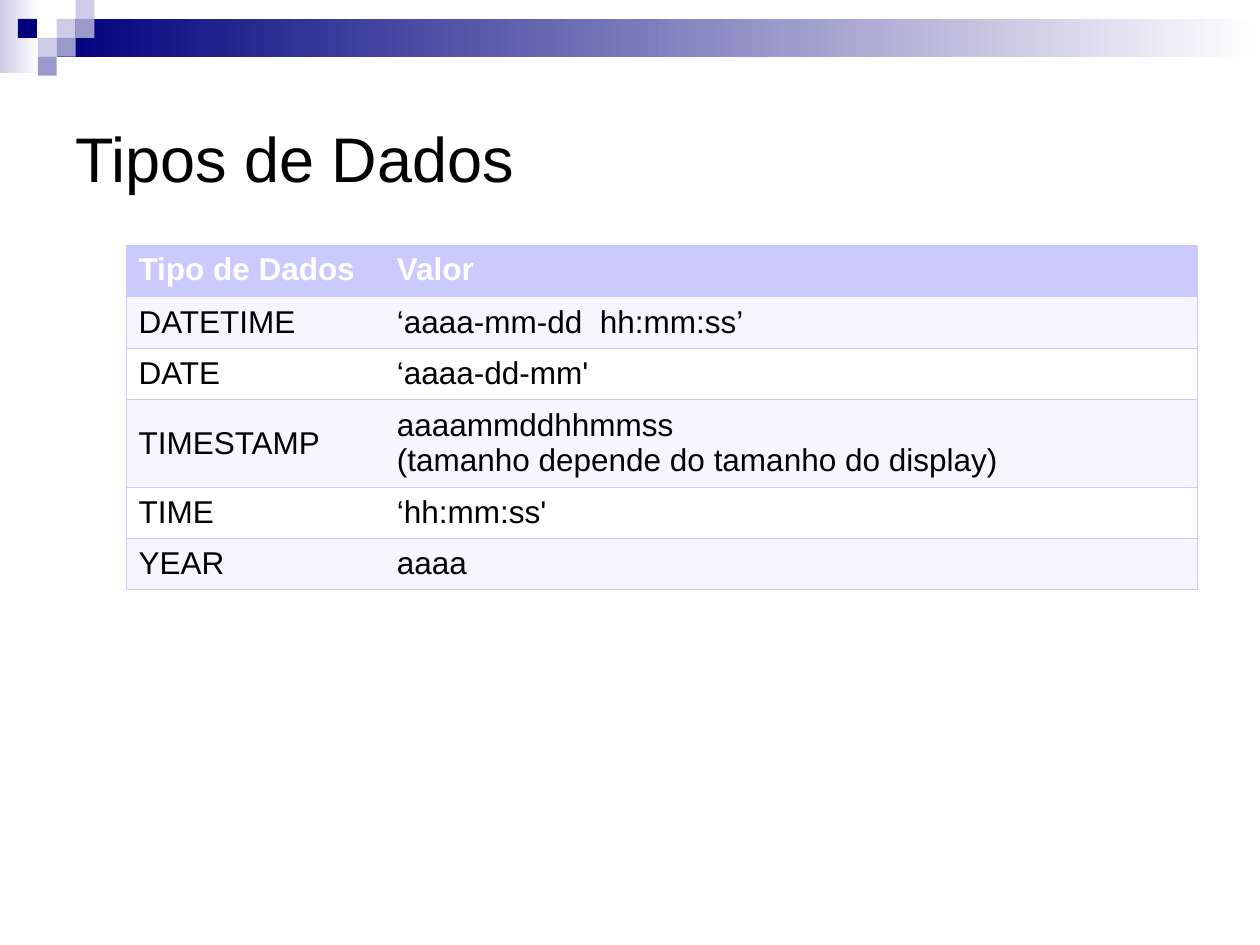
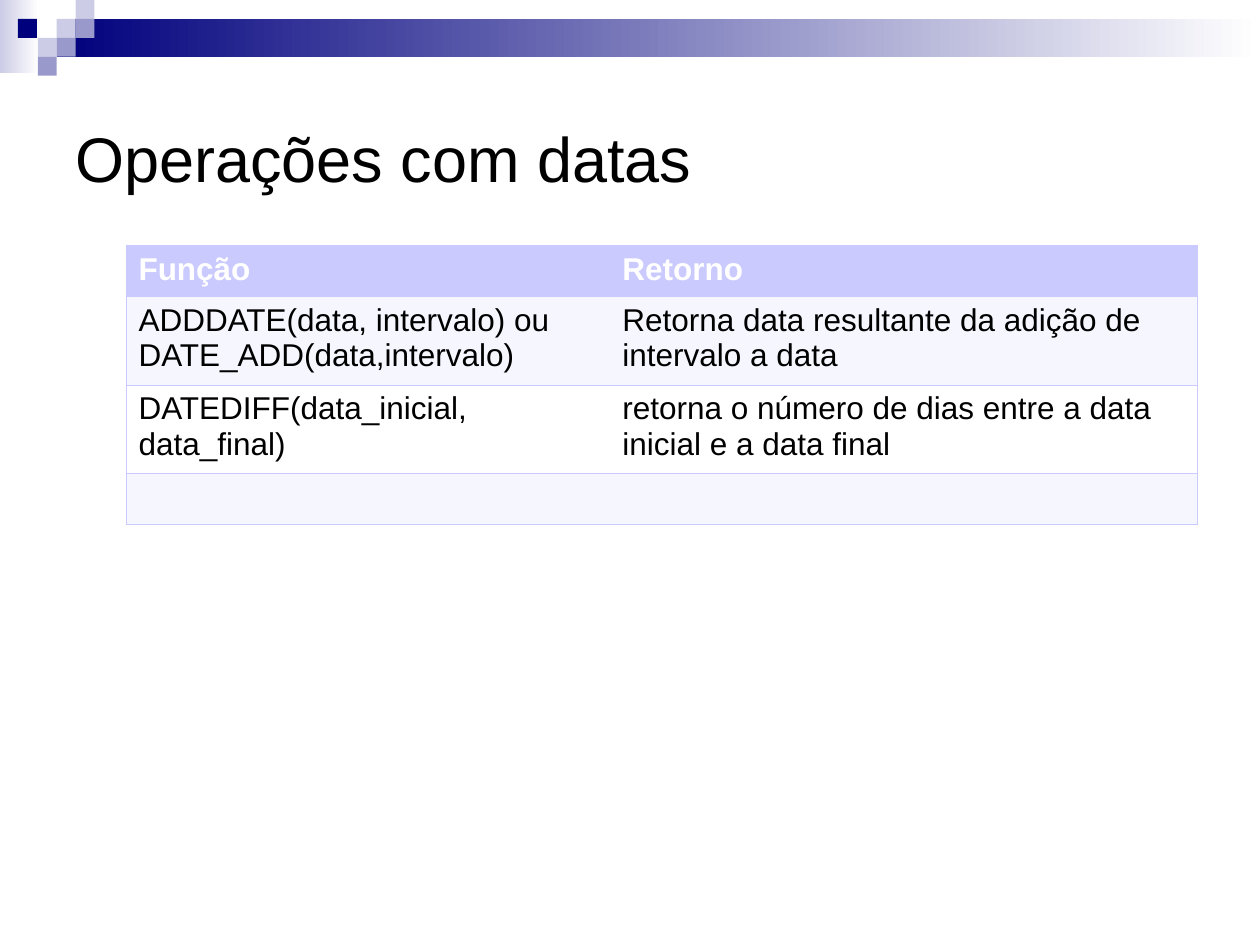
"""Build two slides on date types and date functions, each with a banded table."""
import pptx
import pptx.dml.color
import pptx.enum.shapes
import pptx.enum.text
import pptx.oxml
import pptx.oxml.ns
import pptx.util

Pt = pptx.util.Pt
ANCHOR = pptx.enum.text.MSO_ANCHOR


def color(hex_string):
    return pptx.dml.color.RGBColor.from_string(hex_string)


def write_text(text_frame, text, font="Arial", size=18, ink="000000", bold=False):
    for index, line in enumerate(text.split("\n")):
        paragraph = text_frame.paragraphs[0] if index == 0 else text_frame.add_paragraph()
        paragraph.text = line
        paragraph.font.name = font
        paragraph.font.size = Pt(size)
        paragraph.font.bold = bold
        paragraph.font.color.rgb = color(ink)


class Deck:
    NAVY, VIOLET, MIST, WHITE = "00007D", "9999CC", "CCCCE6", "FFFFFF"
    HEADER, STRIPE = "CACAFF", "F6F6FF"
    SQUARE = 10.8
    MOSAIC = [(3, 1, MIST), (4, 0, MIST), (4, 1, VIOLET), (2, 2, MIST),
              (0.95, 1, NAVY), (3, 2, VIOLET), (2, 3, VIOLET)]
    BORDER_WIDTH = 0.45
    TABLE_LEFT, TABLE_TOP = 72, 140.4
    ONE_LINE, TWO_LINES = 29.2, 50.4

    def __init__(self):
        self.presentation = pptx.Presentation()
        self.presentation.slide_width = Pt(720)
        self.presentation.slide_height = Pt(540)
        self.slide = None

    def add_slide(self, title):
        self.slide = self.presentation.slides.add_slide(self.presentation.slide_layouts[6])
        self.add_rectangle(0, 0, 22.3, 41.8, self.MIST, self.WHITE)
        self.add_rectangle(3 * self.SQUARE, self.SQUARE, 720 - 3 * self.SQUARE,
                           2 * self.SQUARE, self.NAVY, self.WHITE)
        for column, row, fill in self.MOSAIC:
            self.add_rectangle(column * self.SQUARE, row * self.SQUARE,
                               self.SQUARE, self.SQUARE, fill)
        self.add_title(title)

    def add_rectangle(self, left, top, width, height, fill, fade_to=None):
        shape = self.slide.shapes.add_shape(
            pptx.enum.shapes.MSO_SHAPE.RECTANGLE, Pt(left), Pt(top), Pt(width), Pt(height))
        shape.shadow.inherit = False
        shape.line.fill.background()
        if fade_to:
            shape.fill.gradient()
            shape.fill.gradient_angle = 0
            for stop, stop_color in zip(shape.fill.gradient_stops, (fill, fade_to)):
                stop.color.rgb = color(stop_color)
        else:
            shape.fill.solid()
            shape.fill.fore_color.rgb = color(fill)

    def add_title(self, title):
        shape = self.slide.shapes.add_textbox(Pt(36), Pt(36), Pt(648), Pt(108))
        shape.text_frame.word_wrap = True
        shape.text_frame.vertical_anchor = ANCHOR.MIDDLE
        write_text(shape.text_frame, title, size=36)

    def add_table(self, column_widths, rows, body_anchor):
        heights = [self.TWO_LINES if two_lines else self.ONE_LINE for two_lines, _ in rows]
        table = self.slide.shapes.add_table(
            len(rows), len(column_widths), Pt(self.TABLE_LEFT), Pt(self.TABLE_TOP),
            Pt(sum(column_widths)), Pt(sum(heights))).table
        for column, width in zip(table.columns, column_widths):
            column.width = Pt(width)
        last_column = len(column_widths) - 1
        for row_index, (_, texts) in enumerate(rows):
            table.rows[row_index].height = Pt(heights[row_index])
            is_header = row_index == 0
            stripe = self.STRIPE if row_index % 2 else self.WHITE
            for column_index, text in enumerate(texts):
                cell = table.cell(row_index, column_index)
                self.set_borders(cell, column_index == 0, column_index == last_column)
                cell.fill.solid()
                cell.fill.fore_color.rgb = color(self.HEADER if is_header else stripe)
                cell.vertical_anchor = ANCHOR.TOP if is_header else body_anchor
                write_text(cell.text_frame, text, bold=is_header,
                           ink=self.WHITE if is_header else "000000")

    def set_borders(self, cell, is_first, is_last):
        properties = cell._tc.get_or_add_tcPr()
        for side, visible in (("L", is_first), ("R", is_last), ("T", True), ("B", True)):
            fill = (f'<a:solidFill><a:srgbClr val="{self.HEADER}"/></a:solidFill>'
                    if visible else "<a:noFill/>")
            properties.append(pptx.oxml.parse_xml(
                f'<a:ln{side} {pptx.oxml.ns.nsdecls("a")} w="{Pt(self.BORDER_WIDTH)}">'
                f"{fill}</a:ln{side}>"))


def main():
    deck = Deck()
    deck.add_slide("Tipos de Dados")
    deck.add_table([147.6, 464.4], [
        (False, ["Tipo de Dados", "Valor"]),
        (False, ["DATETIME", "‘aaaa-mm-dd  hh:mm:ss’"]),
        (False, ["DATE", "‘aaaa-dd-mm'"]),
        (True, ["TIMESTAMP", "aaaammddhhmmss\v(tamanho depende do tamanho do display)"]),
        (False, ["TIME", "‘hh:mm:ss'"]),
        (False, ["YEAR", "aaaa"]),
    ], ANCHOR.MIDDLE)
    deck.add_slide("Operações com datas")
    deck.add_table([276.5, 335.5], [
        (False, ["Função", "Retorno"]),
        (True, ["ADDDATE(data, intervalo) ou\nDATE_ADD(data,intervalo)",
                "Retorna data resultante da adição de intervalo a data"]),
        (True, ["DATEDIFF(data_inicial, data_final)",
                "retorna o número de dias entre a data inicial e a data final"]),
        (False, ["", ""]),
    ], ANCHOR.TOP)
    deck.presentation.save("out.pptx")


if __name__ == "__main__":
    main()
